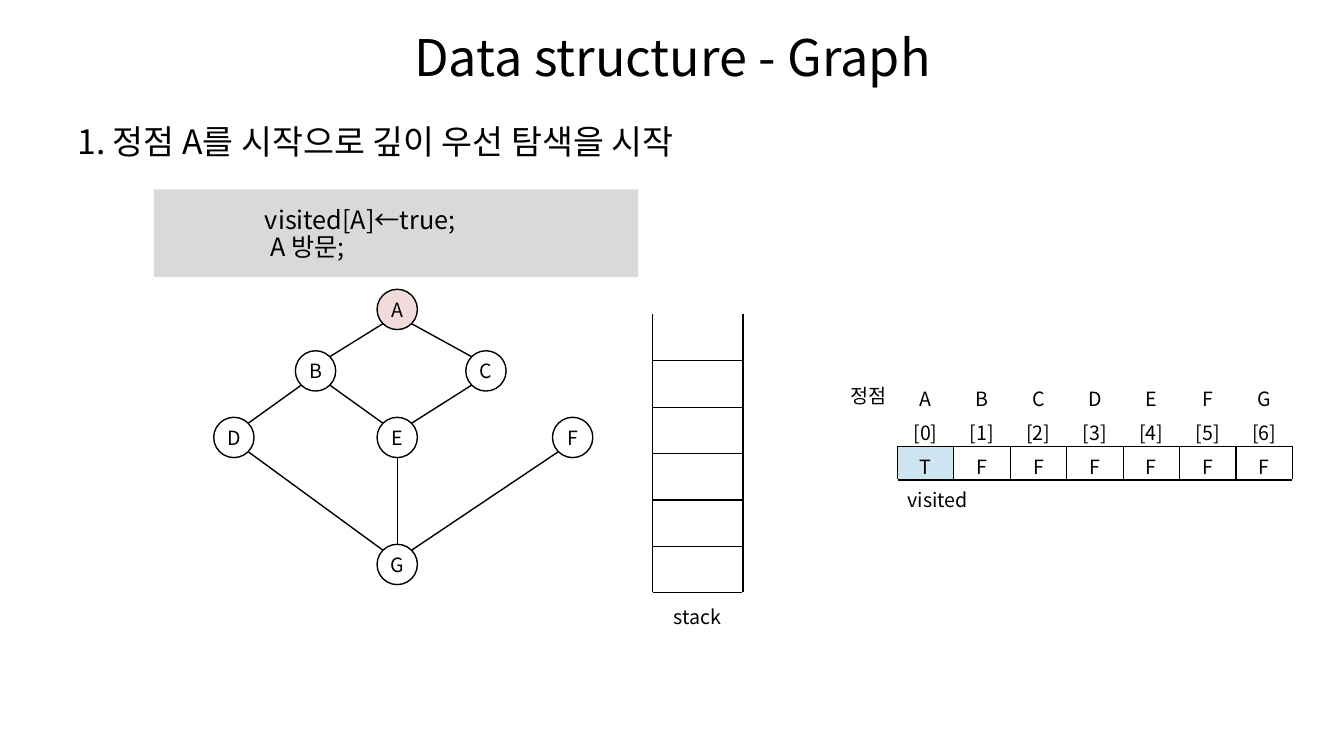
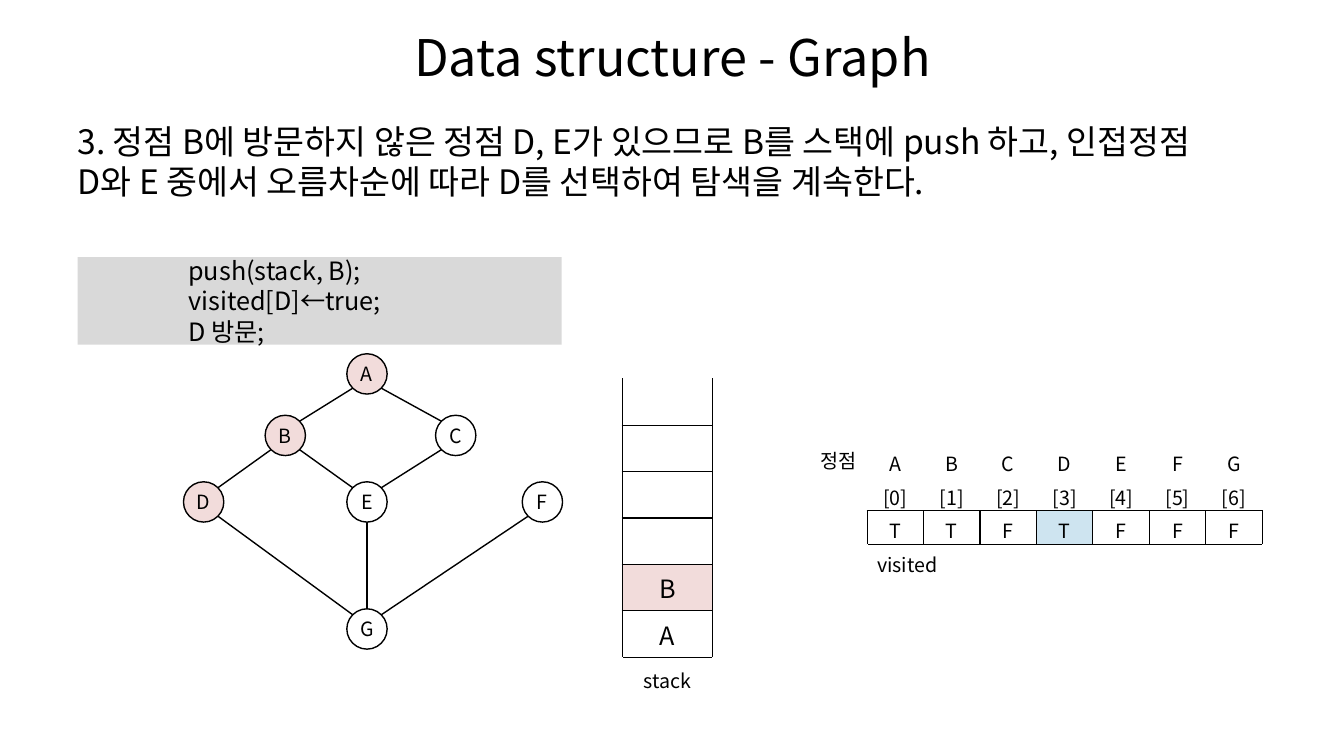
"""Two steps of a depth-first search, each with its graph, stack and visited table."""
from lxml.etree import SubElement
from pptx import Presentation
from pptx.dml.color import RGBColor
from pptx.enum.shapes import MSO_CONNECTOR, MSO_SHAPE
from pptx.enum.text import MSO_ANCHOR, PP_ALIGN
from pptx.oxml.ns import qn
from pptx.util import Inches, Pt

FONT = "Noto Sans CJK KR"
BLACK, WHITE, GREY, PINK, BLUE = "000000", "FFFFFF", "D9D9D9", "F2DCDB", "CEE4F0"
TITLE = "Data structure - Graph"
VERTICES = "ABCDEFG"
NODES = {"A": (1.82, 0.2), "B": (1.01, 0.81), "C": (2.7, 0.81), "D": (0.2, 1.47),
         "E": (1.82, 1.47), "F": (3.56, 1.47), "G": (1.82, 2.73)}
EDGES = ["AB", "AC", "BD", "BE", "CE", "DG", "EG", "FG"]
RADIUS, CORNER = 0.2, 0.14
STACK_SIZE, STACK_ROW, STACK_COL = 6, 0.46, 0.9
VISIT_ROW, VISIT_COL = 0.33, 0.56

STEPS = [
    {"text": "1. 정점 A를 시작으로 깊이 우선 탐색을 시작",
     "code": ["visited[A]←true;", " A 방문;"], "spacing": 0.9,
     "code_at": (1.53, 1.88), "figure_at": (2.12, 2.87),
     "marked": "A", "stack": "", "visited": "TFFFFFF", "current": "A"},
    {"text": "3. 정점 B에 방문하지 않은 정점 D, E가 있으므로 B를 스택에 push 하고, "
             "인접정점 D와 E 중에서 오름차순에 따라 D를 선택하여 탐색을 계속한다.",
     "code": ["push(stack, B);", "visited[D]←true;", "D 방문;"], "spacing": 1,
     "code_at": (0.77, 2.55), "figure_at": (1.82, 3.51),
     "marked": "ABD", "stack": "BA", "visited": "TTFTFFF", "current": "D"},
]


def color(value):
    return RGBColor.from_string(value)


def write(tf, text, size=14, align=PP_ALIGN.CENTER, anchor=MSO_ANCHOR.MIDDLE,
          indent=0, spacing=1, wrap=True):
    tf.word_wrap = wrap
    tf.vertical_anchor = anchor
    for i, line in enumerate([text] if isinstance(text, str) else text):
        p = tf.add_paragraph() if i else tf.paragraphs[0]
        p.alignment = align
        p.line_spacing = spacing if i else 1.0
        if indent:
            p._p.get_or_add_pPr().set("marL", str(Inches(indent)))
        r = p.add_run()
        r.text = line
        r.font.size, r.font.name = Pt(size), FONT
        r.font.color.rgb = color(BLACK)
        SubElement(r._r.get_or_add_rPr(), qn("a:ea")).set("typeface", FONT)


def add_text(s, text, x, y, w, h, **style):
    write(s.shapes.add_textbox(*map(Inches, (x, y, w, h))).text_frame, text, **style)


def add_shape(s, kind, x, y, w, h, fill, line=None):
    sp = s.shapes.add_shape(kind, *map(Inches, (x, y, w, h)))
    sp.shadow.inherit = False
    sp.fill.solid()
    sp.fill.fore_color.rgb = color(fill)
    if line:
        sp.line.color.rgb = color(line)
        sp.line.width = Pt(1)
    else:
        sp.line.fill.background()
    return sp


def add_line(s, *ends):
    c = s.shapes.add_connector(MSO_CONNECTOR.STRAIGHT, *map(Inches, ends))
    c.line.color.rgb = color(BLACK)
    c.line.width = Pt(1)
    SubElement(c._element.spPr, qn("a:effectLst"))


def add_table(s, rows, cols, x, y, col, row):
    size = map(Inches, (x, y, col * cols, row * rows))
    table = s.shapes.add_table(rows, cols, *size).table
    table.first_row = table.horz_banding = False
    return table


def set_cell(cell, text="", fill=WHITE, borders="", size=14, align=PP_ALIGN.CENTER):
    tcPr = cell._tc.get_or_add_tcPr()
    for side in borders:
        ln = SubElement(tcPr, qn("a:ln" + side), w=str(Pt(1)))
        SubElement(SubElement(ln, qn("a:solidFill")), qn("a:srgbClr"), val=BLACK)
    cell.fill.solid()
    cell.fill.fore_color.rgb = color(fill)
    cell.vertical_anchor = MSO_ANCHOR.MIDDLE
    if text:
        write(cell.text_frame, text, size=size, align=align)


def draw_graph(s, x, y, marked):
    for upper, lower in EDGES:
        (x1, y1), (x2, y2) = NODES[upper], NODES[lower]
        side = (x2 > x1) - (x2 < x1)
        dx, dy = side * CORNER, CORNER if side else RADIUS
        add_line(s, x + x1 + dx, y + y1 + dy, x + x2 - dx, y + y2 - dy)
    for name, (cx, cy) in NODES.items():
        sp = add_shape(s, MSO_SHAPE.OVAL, x + cx - RADIUS, y + cy - RADIUS,
                       2 * RADIUS, 2 * RADIUS, PINK if name in marked else WHITE, BLACK)
        tf = sp.text_frame
        tf.margin_left = tf.margin_right = tf.margin_top = tf.margin_bottom = 0
        write(tf, name, wrap=False)


def draw_stack(s, x, y, items):
    table = add_table(s, STACK_SIZE + 1, 1, x, y, STACK_COL, STACK_ROW)
    for i, name in enumerate(items.rjust(STACK_SIZE)):
        top = items and i == STACK_SIZE - len(items)
        set_cell(table.cell(i, 0), name.strip(), PINK if top else WHITE,
                 "LRTB" if i else "LRB", size=18)
    set_cell(table.cell(STACK_SIZE, 0), "stack", borders="T")


def draw_visited(s, x, y, flags, current):
    table = add_table(s, 4, len(VERTICES), x, y, VISIT_COL, VISIT_ROW)
    for i, (name, flag) in enumerate(zip(VERTICES, flags)):
        set_cell(table.cell(0, i), name)
        set_cell(table.cell(1, i), f"[{i}]", borders="B")
        set_cell(table.cell(2, i), flag, BLUE if name == current else WHITE, "LRTB")
        set_cell(table.cell(3, i), borders="T")
    label = table.cell(3, 0)
    label.merge(table.cell(3, len(VERTICES) - 1))
    write(label.text_frame, "visited", align=PP_ALIGN.LEFT)


def draw_step(prs, step):
    s = prs.slides.add_slide(prs.slide_layouts[6])
    add_text(s, TITLE, 0.67, 0.13, 12, 0.85, size=36)
    add_text(s, step["text"], 0.67, 1.15, 11.5, 1,
             size=24, align=PP_ALIGN.LEFT, anchor=MSO_ANCHOR.TOP)
    box = add_shape(s, MSO_SHAPE.RECTANGLE, *step["code_at"], 4.8, 0.87, GREY)
    write(box.text_frame, step["code"], size=18, align=PP_ALIGN.LEFT,
          indent=1, spacing=step["spacing"])
    x, y = step["figure_at"]
    draw_graph(s, x, y, step["marked"])
    draw_stack(s, x + 4.35, y + 0.25, step["stack"])
    add_text(s, "정점", x + 6.22, y + 0.89, VISIT_COL, 0.34,
             align=PP_ALIGN.LEFT, anchor=MSO_ANCHOR.TOP)
    draw_visited(s, x + 6.78, y + 0.89, step["visited"], step["current"])


def main():
    prs = Presentation()
    prs.slide_width, prs.slide_height = Inches(13.33), Inches(7.5)
    for step in STEPS:
        draw_step(prs, step)
    prs.save("out.pptx")


if __name__ == "__main__":
    main()
